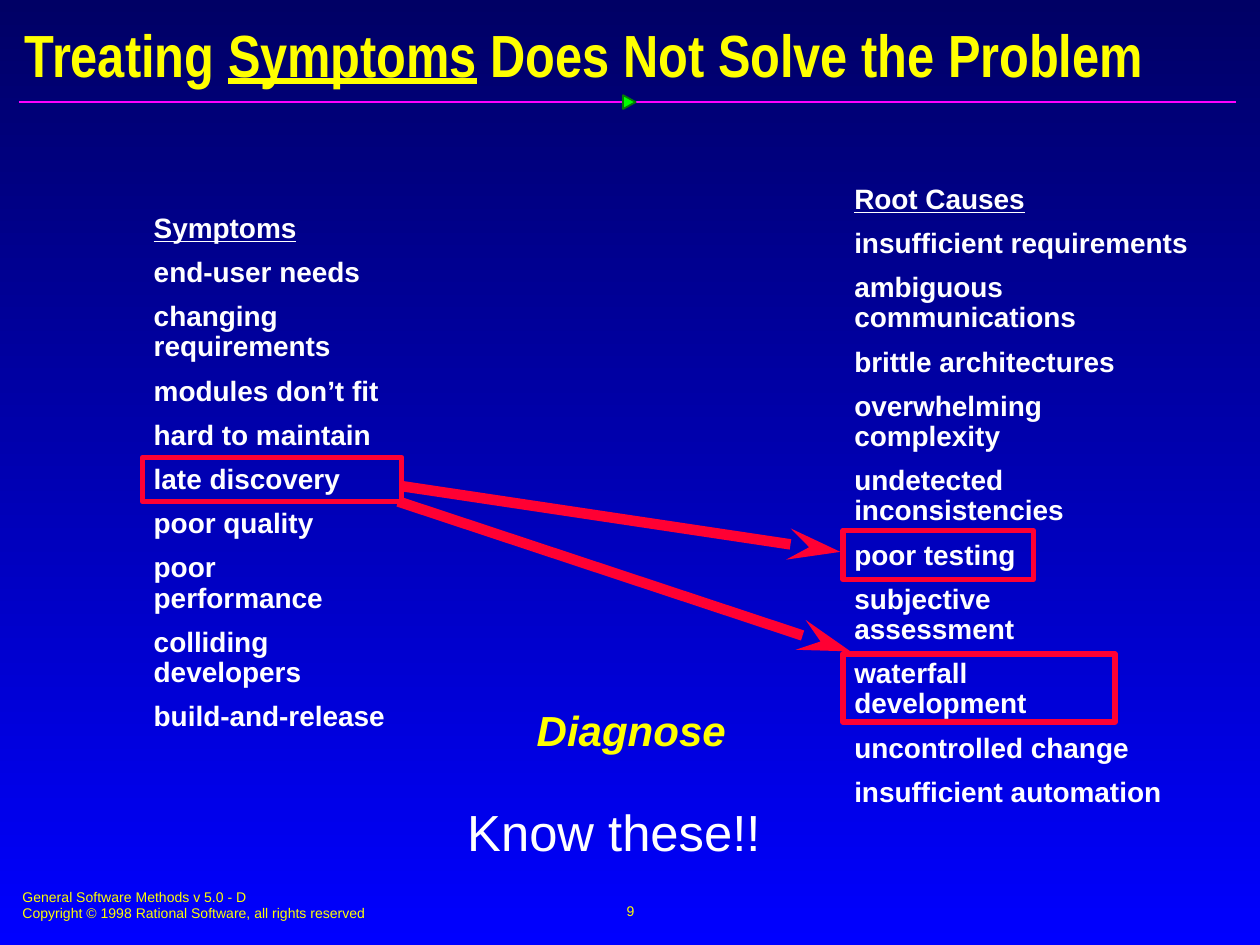
from pptx import Presentation
from pptx.dml.color import RGBColor
from pptx.enum.shapes import MSO_CONNECTOR, MSO_SHAPE
from pptx.enum.text import MSO_ANCHOR, PP_ALIGN
from pptx.oxml.ns import qn
from pptx.util import Inches, Pt
from lxml.etree import SubElement

NAVY = RGBColor(0x00, 0x00, 0x65)
BLUE = RGBColor(0x00, 0x00, 0xFF)
YELLOW = RGBColor(0xFF, 0xFF, 0x00)
WHITE = RGBColor(0xFF, 0xFF, 0xFF)
RED = RGBColor(0xFF, 0x00, 0x33)
PINK = RGBColor(0xFF, 0x01, 0xFF)
GREEN = RGBColor(0x00, 0xFF, 0x00)
DARK = RGBColor(0x03, 0x7C, 0x03)

# Content
TITLE = ["Treating ", "Symptoms", " Does Not Solve the Problem"]
FOOTER = [
    "General Software Methods v 5.0 - D",
    "Copyright © 1998 Rational Software, all rights reserved",
]
SYMPTOMS = [
    "Symptoms", "end-user needs", "changing requirements",
    "modules don’t fit", "hard to maintain", "late discovery",
    "poor quality", "poor performance", "colliding developers",
    "build-and-release",
]
CAUSES = [
    "Root Causes", "insufficient requirements", "ambiguous communications",
    "brittle architectures", "overwhelming\ncomplexity",
    "undetected inconsistencies", "poor testing", "subjective\nassessment",
    "waterfall\ndevelopment", "uncontrolled change",
    "insufficient automation",
]
LISTS = [
    (SYMPTOMS, (1.13, 1.65, 2.05, 4.58)),
    (CAUSES, (6.69, 1.42, 3.04, 5.41)),
]
FRAMES = [
    (1.13, 3.63, 2.06, 0.35),  # late discovery
    (6.69, 4.21, 1.51, 0.39),  # poor testing
    (6.69, 5.19, 2.16, 0.54),  # waterfall development
]
ARROWS = [(3.2, 3.86, 6.67, 4.38), (3.16, 3.98, 6.75, 5.17)]

deck = Presentation()
deck.slide_width, deck.slide_height = Inches(10), Inches(7.5)
slide = deck.slides.add_slide(deck.slide_layouts[6])
shapes = slide.shapes


def add_text(lines, box, size, color, font="Arial", side=0.1, wrap=True,
             align=PP_ALIGN.LEFT, anchor=MSO_ANCHOR.TOP, lead=None, gap=0):
    frame = shapes.add_textbox(*map(Inches, box)).text_frame
    frame.word_wrap = wrap
    frame.vertical_anchor = anchor
    frame.margin_left = frame.margin_right = Inches(side)
    for i, line in enumerate(lines):
        para = frame.add_paragraph() if i else frame.paragraphs[0]
        para.alignment = align
        para.line_spacing = lead
        para.space_before = Pt(gap if i else 0)
        # A line is a string or a list of runs
        if isinstance(line, str):
            para.text = line
        else:
            for part in line:
                para.add_run().text = part
        for run in para.runs:
            run.font.name, run.font.size = font, Pt(size)
            run.font.color.rgb = color
    return frame


def add_line(ends, color, width):
    line = shapes.add_connector(MSO_CONNECTOR.STRAIGHT, *map(Inches, ends))
    line.line.color.rgb = color
    line.line.width = Pt(width)
    SubElement(line._element.spPr, qn("a:effectLst"))
    return line


def add_shape(kind, box, color, width):
    shape = shapes.add_shape(kind, *map(Inches, box))
    shape.shadow.inherit = False
    shape.fill.background()
    shape.line.color.rgb = color
    shape.line.width = Pt(width)
    return shape


# Background
fill = slide.background.fill
fill.gradient()
fill.gradient_angle = 270
for stop, place, color in zip(fill.gradient_stops, (0, 1), (NAVY, BLUE)):
    stop.position = place
    stop.color.rgb = color

# Rule under the title, with its marker
add_line((0.15, 0.81, 9.81, 0.81), PINK, 1)
mark = add_shape(MSO_SHAPE.ISOSCELES_TRIANGLE, (4.94, 0.76, 0.11, 0.1), DARK, 1)
mark.rotation = 90
mark.fill.solid()
mark.fill.fore_color.rgb = GREEN

# Footer and page number
add_text(FOOTER, (0.08, 7, 5.1, 0.37), 8, YELLOW)
add_text(["9"], (3.42, 6.98, 3.17, 0.5), 8, YELLOW, wrap=False,
         align=PP_ALIGN.CENTER, anchor=MSO_ANCHOR.MIDDLE)

# Two lists, each with an underlined heading
for items, box in LISTS:
    frame = add_text(items, box, 16, WHITE, side=0.09, lead=0.9, gap=8)
    for para in frame.paragraphs:
        for run in para.runs:
            run.font.bold = True
    frame.paragraphs[0].runs[0].font.underline = True

# Frames and the arrows that link them
for box in FRAMES:
    add_shape(MSO_SHAPE.RECTANGLE, box, RED, 3)
for ends in ARROWS:
    arrow = add_line(ends, RED, 6)
    SubElement(arrow.line._get_or_add_ln(), qn("a:tailEnd"),
               type="stealth", w="med", len="lg")

# Captions
frame = add_text(["Diagnose"], (4.02, 5.6, 1.98, 0.44), 24, YELLOW,
                 side=0.09, align=PP_ALIGN.CENTER, lead=0.87)
font = frame.paragraphs[0].runs[0].font
font.bold = font.italic = True
add_text(["Know these!!"], (3.61, 6.31, 2.64, 0.59), 29, WHITE, wrap=False)

# Title
frame = add_text([TITLE], (0.1, 0.14, 9.84, 0.58), 34, YELLOW,
                 font="Arial Narrow", anchor=MSO_ANCHOR.MIDDLE)
for run in frame.paragraphs[0].runs:
    run.font.bold = True
    run.font.underline = run.text == "Symptoms"

deck.save("out.pptx")
